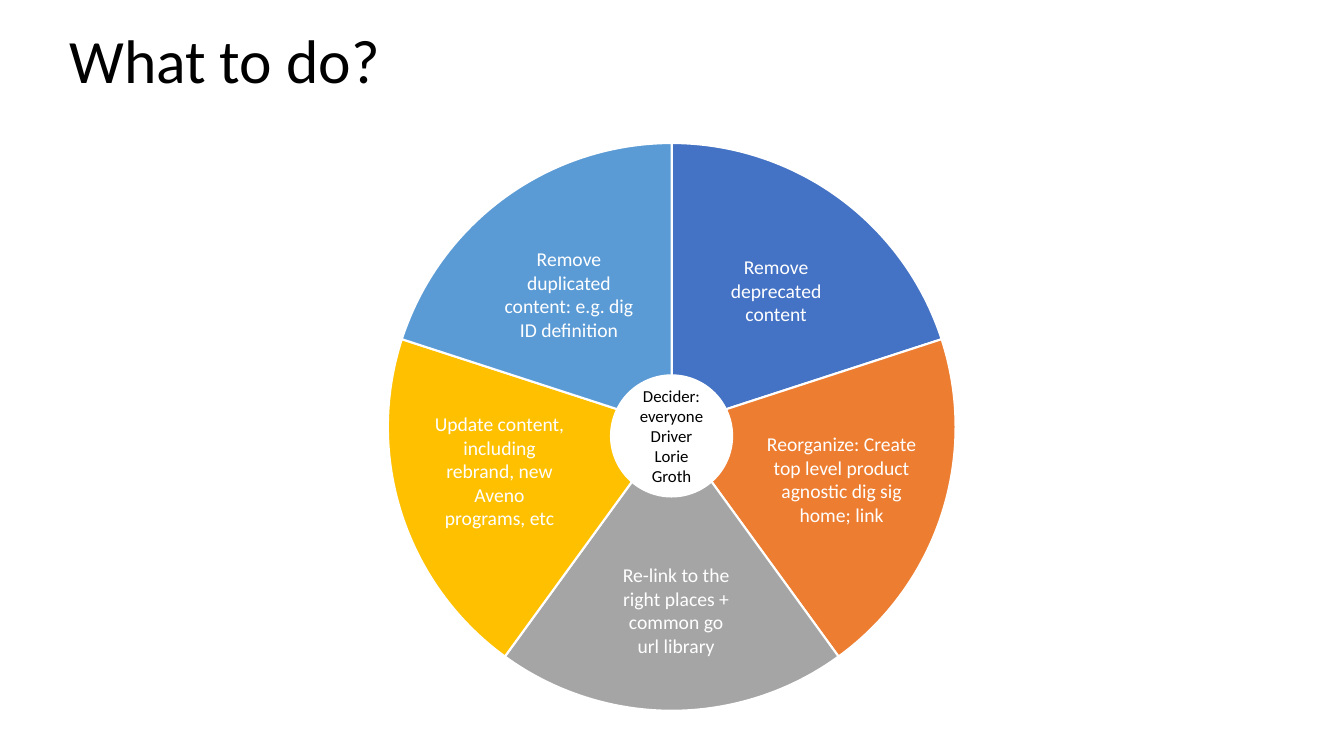
from lxml import etree
from pptx import Presentation
from pptx.chart.data import CategoryChartData as ChartData
from pptx.dml.color import RGBColor as RGB
from pptx.enum.chart import XL_CHART_TYPE as Chart
from pptx.enum.shapes import MSO_SHAPE as Shape
from pptx.enum.text import MSO_ANCHOR as Anchor, PP_ALIGN as Align
from pptx.util import Cm, Pt

INK = {
    "white": "FFFFFF", "black": "000000", "blue": "4472C4",
    "orange": "ED7D31", "gray": "A5A5A5", "gold": "FFC000",
    "sky": "5B9BD5", "green": "70AD47",
}
SLICES = ["blue", "orange", "gray", "gold", "sky", "green"]
LABELS = [
    ("Remove duplicated content: e.g. dig ID definition", (12.42, 6.1, 3.84, 2.64)),
    ("Re-link to the right places + common go url library", (15.39, 14.07, 3.3, 2.64)),
    ("Reorganize: Create top level product agnostic dig sig home; link",
     (18.77, 10.77, 4.88, 2.64)),
    ("Update content, including rebrand, new Aveno programs, etc",
     (10.67, 10.26, 3.84, 3.25)),
    ("Remove deprecated content", (17.91, 6.3, 3.3, 2.06)),
]


class Deck:
    font = "Calibri"

    def __init__(self):
        self.file = Presentation()
        self.file.slide_width, self.file.slide_height = Cm(33.87), Cm(19.05)
        self.slide = self.file.slides.add_slide(self.file.slide_layouts[6])

    def tint(self, name):
        return RGB.from_string(INK[name])

    def style(self, font, size, ink):
        font.name, font.size = self.font, Pt(size)
        font.color.rgb = self.tint(ink)

    def fill_text(self, frame, text, size, ink, align=Align.CENTER):
        frame.text = text
        frame.word_wrap = True
        for para in frame.paragraphs:
            para.alignment = align
            for run in para.runs:
                self.style(run.font, size, ink)

    def text(self, text, box, size=14, ink="white", align=Align.CENTER):
        frame = self.slide.shapes.add_textbox(*map(Cm, box)).text_frame
        self.fill_text(frame, text, size, ink, align)
        return frame

    def title(self, text, box):
        frame = self.text(text, box, 44, "black", Align.LEFT)
        frame.vertical_anchor = Anchor.MIDDLE
        frame.paragraphs[0].line_spacing = 0.9

    def paint(self, part, fill, line, width):
        part.fill.solid()
        part.fill.fore_color.rgb = self.tint(fill)
        part.line.color.rgb = self.tint(line)
        part.line.width = Pt(width)

    def disc(self, text, box):
        disc = self.slide.shapes.add_shape(Shape.OVAL, *map(Cm, box))
        disc.shadow.inherit = False
        self.paint(disc, "white", "white", 1)
        self.fill_text(disc.text_frame, text, 12, "black")
        disc.text_frame.vertical_anchor = Anchor.MIDDLE

    def pie(self, vals, inks, box, share):
        """Draw a pie whose diameter is the given share of the chart height."""
        data = ChartData()
        data.categories = [str(n + 1) for n in range(len(vals))]
        data.add_series("Series 1", vals)
        chart = self.slide.shapes.add_chart(Chart.PIE, *map(Cm, box), data).chart
        chart.has_legend = chart.has_title = False
        self.style(chart.font, 10, "black")
        plot = chart.plots[0]
        plot.vary_by_categories = True
        for n, ink in enumerate(inks):
            self.paint(plot.series[0].points[n].format, ink, "white", 1.5)
        self.place(chart, share * box[3] / box[2], share)

    def place(self, chart, wide, high):
        """Centre the plot area at a fixed fraction of the chart."""
        area = chart._chartSpace.chart.plotArea
        space = area.nsmap["c"]
        for old in area.findall(f"{{{space}}}layout"):
            area.remove(old)
        outer = etree.Element(f"{{{space}}}layout")
        inner = etree.SubElement(outer, f"{{{space}}}manualLayout")
        marks = {"layoutTarget": "inner", "xMode": "edge", "yMode": "edge",
                 "x": (1 - wide) / 2, "y": (1 - high) / 2, "w": wide, "h": high}
        for tag, val in marks.items():
            etree.SubElement(inner, f"{{{space}}}{tag}").set("val", str(val))
        area.insert(0, outer)


def main():
    deck = Deck()
    deck.title("What to do?", (1.5, 0.53, 30.02, 2.13))
    deck.pie([20] * 5 + [None], SLICES, (5.64, 3.23, 22.58, 15.06), 0.95)
    for text, box in LABELS:
        deck.text(text, box)
    deck.disc("Decider: everyone\nDriver\nLorie Groth", (15.39, 9.45, 3.07, 3.07))
    deck.file.save("out.pptx")


if __name__ == "__main__":
    main()
